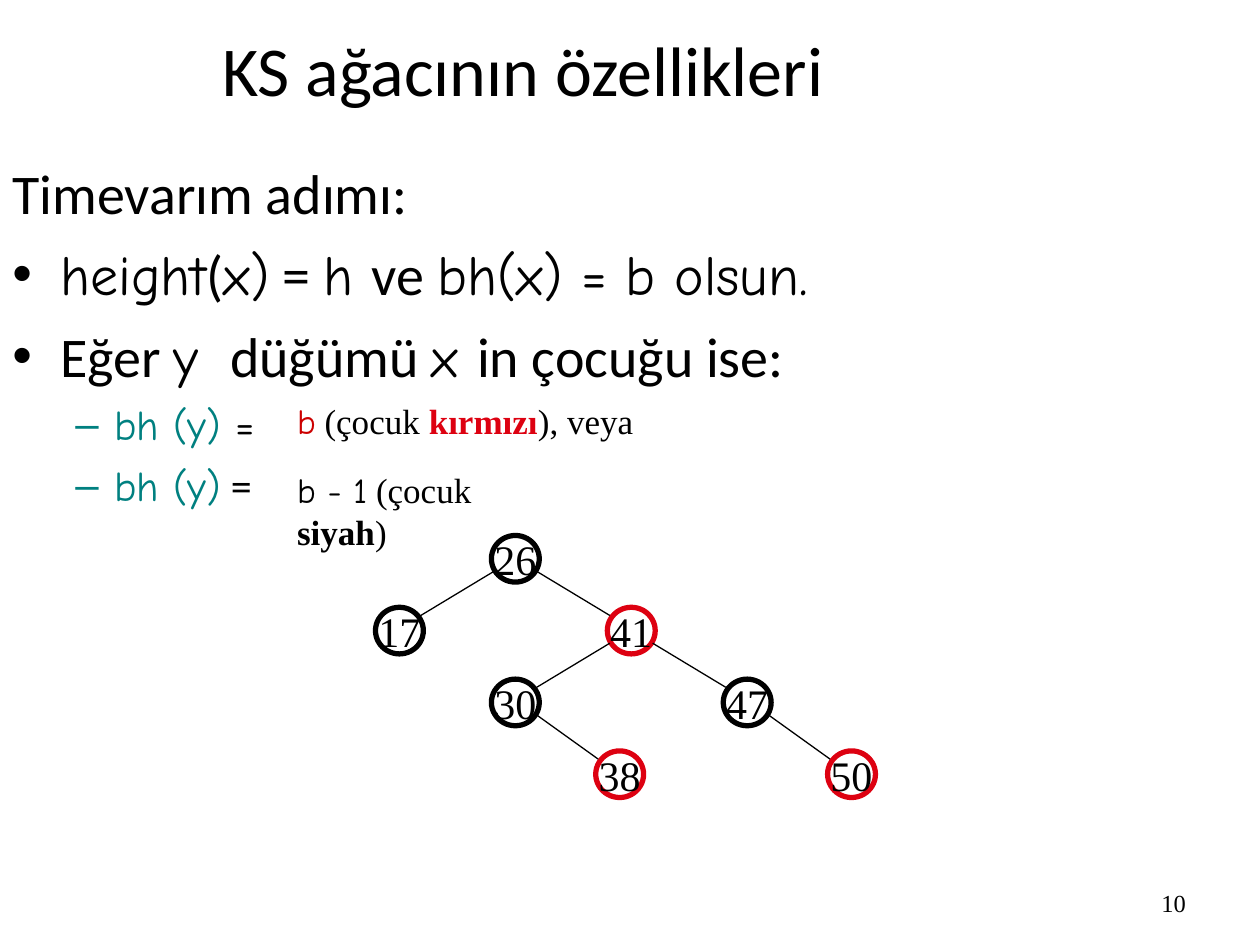
import pptx
import pptx.util
import pptx.dml.color
import pptx.enum.shapes
import pptx.enum.text
import pptx.oxml.ns
from lxml import etree

Inches, Pt = pptx.util.Inches, pptx.util.Pt
ALIGN, ANCHOR = pptx.enum.text.PP_ALIGN, pptx.enum.text.MSO_ANCHOR
COLORS = {"black": "000000", "red": "DD0111", "dark red": "CC0000", "teal": "008080"}
SANS, COMIC, SERIF = "Calibri", "Comic Neue", "Times New Roman"

deck = pptx.Presentation()
deck.slide_width, deck.slide_height = Inches(10), Inches(7.5)
slide = deck.slides.add_slide(deck.slide_layouts[6])
qn = pptx.oxml.ns.qn


def write(paragraph, text, font=SERIF, size=24, color="black", bold=False):
    run = paragraph.add_run()
    run.text = text
    run.font.name, run.font.size, run.font.bold = font, Pt(size), bold
    run.font.color.rgb = pptx.dml.color.RGBColor.from_string(COLORS[color])


def add_frame(left, top, width, height, wrap=True):
    box = slide.shapes.add_textbox(*map(Inches, (left, top, width, height)))
    box.text_frame.word_wrap = wrap
    return box.text_frame


# Slide number
number = add_frame(7.18, 7, 2.33, 0.35).paragraphs[0]
number.alignment = ALIGN.RIGHT
write(number, "10", size=14)

# Title
heading = add_frame(0, 0.17, 8.3, 0.75)
heading.vertical_anchor = ANCHOR.MIDDLE
heading.paragraphs[0].alignment = ALIGN.CENTER
write(heading.paragraphs[0], "KS ağacının özellikleri", font=SANS, size=40)

# Induction step: (level, bullet, runs of text, font, colour)
induction = [
    (0, None, [("Timevarım adımı:", SANS, "black")]),
    (0, "•", [("height", COMIC, "black"), ("(", SANS, "black"), ("x)", COMIC, "black"),
              (" = ", SANS, "black"), ("h ", COMIC, "black"), ("ve ", SANS, "black"),
              ("bh(x) = b olsun.", COMIC, "black")]),
    (0, "•", [("Eğer ", SANS, "black"), ("y ", COMIC, "black"), (" düğümü ", SANS, "black"),
              ("x ", COMIC, "black"), ("in çocuğu ise:", SANS, "black")]),
    (1, "–", [("bh (y)", COMIC, "teal"), (" =", COMIC, "black")]),
    (1, "–", [("bh (y)", COMIC, "teal"), (" =", SANS, "black")]),
]
LEVELS = [  # size, space before, indent, hanging, bullet colour
    (32, 8, 0.38, 0.38, "black"),
    (24, 6, 0.81, 0.31, "teal"),
]
body = add_frame(0, 1.21, 9.11, 5.37)
for index, (level, bullet, runs) in enumerate(induction):
    size, before, indent, hanging, bullet_color = LEVELS[level]
    line = body.add_paragraph() if index else body.paragraphs[0]
    line.level, line.space_before = level, Pt(before)
    for text, font, color in runs:
        write(line, text, font=font, size=size, color=color)
    props = line._p.get_or_add_pPr()
    props.set("marL", str(Inches(indent)))
    props.set("indent", str(-Inches(hanging)))
    if bullet:
        tint = etree.SubElement(props, qn("a:buClr"))
        etree.SubElement(tint, qn("a:srgbClr"), val=COLORS[bullet_color])
        etree.SubElement(props, qn("a:buFont"), typeface="Arial")
        etree.SubElement(props, qn("a:buChar"), char=bullet)

# Tree nodes: key -> column, row, colour, parent
tree = {
    "26": (1, 0, "black", None),
    "17": (0, 1, "black", "26"),
    "41": (2, 1, "red", "26"),
    "30": (1, 2, "black", "41"),
    "47": (3, 2, "black", "41"),
    "38": (1.9, 3, "red", "30"),
    "50": (3.9, 3, "red", "47"),
}
TREE_LEFT, TREE_TOP, COLUMN, ROW = 2.98, 4.25, 0.92, 0.57
NODE_W, NODE_H = 0.38, 0.37
EDGE_X, EDGE_OUT, EDGE_IN = 0.17, 0.1, 0.12  # where edges meet a node, from its centre
centers = {}
for key, (column, row, color, parent) in tree.items():
    left, top = TREE_LEFT + column * COLUMN, TREE_TOP + row * ROW
    centers[key] = left + NODE_W / 2, top + NODE_H / 2
    node = slide.shapes.add_shape(pptx.enum.shapes.MSO_SHAPE.OVAL,
                                  *map(Inches, (left, top, NODE_W, NODE_H)))
    node.shadow.inherit = False
    node.fill.background()
    node.line.color.rgb = pptx.dml.color.RGBColor.from_string(COLORS[color])
    node.line.width = Pt(3)
    node.text_frame.word_wrap = False
    node.text_frame.vertical_anchor = ANCHOR.MIDDLE
    node.text_frame.paragraphs[0].alignment = ALIGN.CENTER
    write(node.text_frame.paragraphs[0], key)

# Tree edges
for key, (_, _, _, parent) in tree.items():
    if parent is None:
        continue
    (x1, y1), (x2, y2) = centers[parent], centers[key]
    shift = EDGE_X if x2 > x1 else -EDGE_X
    edge = slide.shapes.add_connector(
        pptx.enum.shapes.MSO_CONNECTOR.STRAIGHT,
        *map(Inches, (x1 + shift, y1 + EDGE_OUT, x2 - shift, y2 - EDGE_IN)))
    edge.line.color.rgb = pptx.dml.color.RGBColor.from_string(COLORS["black"])
    edge.line.width = Pt(0.75)
    etree.SubElement(edge._element.spPr, qn("a:effectLst"))

# Black height of the child, by its colour
cases = [
    (3.12, 2.87, "b", "dark red", "kırmızı", "red", "), veya"),
    (3.67, 2.36, "b - 1", "black", "siyah", "black", ")"),
]
for top, width, height_value, value_color, child, child_color, ending in cases:
    case = add_frame(2.26, top, width, 0.44, wrap=False).paragraphs[0]
    write(case, height_value, font=COMIC, size=20, color=value_color)
    write(case, " (çocuk ", size=20)
    write(case, child, size=20, color=child_color, bold=True)
    write(case, ending, size=20)

deck.save("out.pptx")
